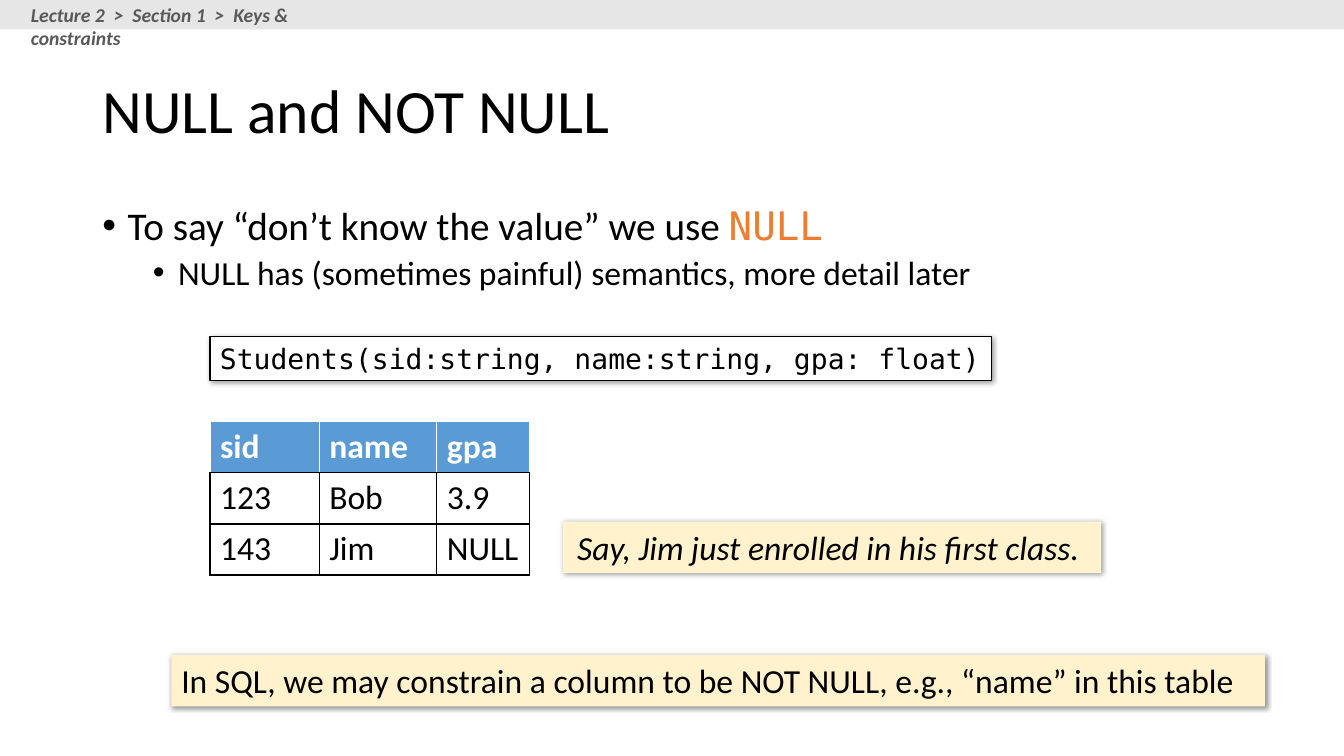
from lxml import etree
from pptx import Presentation
from pptx.dml.color import RGBColor
from pptx.enum import shapes, text
from pptx.oxml import parse_xml
from pptx.oxml.ns import nsdecls, qn
from pptx.util import Inches, Pt

# Grid of 160 columns by 90 rows, twelve to the inch
UNITS_PER_INCH = 12
BLACK, WHITE, ORANGE = "000000", "FFFFFF", "ED7D31"
CREAM, BLUE, BAND_GREY, PATH_GREY = "FFF2CC", "5B9BD5", "E7E6E6", "595959"
BODY_FONT, CODE_FONT = "Calibri", "DejaVu Sans Mono"


def grid(*units):
    return [Inches(unit / UNITS_PER_INCH) for unit in units]


def color(value):
    return RGBColor.from_string(value)


def place(item, left, top, width, height):
    item.left, item.top, item.width, item.height = grid(left, top, width, height)


def add_run(paragraph, words, size, fill=BLACK, face=BODY_FONT, bold=False, italic=False):
    run = paragraph.add_run()
    run.text = words
    font = run.font
    font.name, font.size, font.bold, font.italic = face, Pt(size), bold, italic
    font.color.rgb = color(fill)


def set_bullet(paragraph, indent):
    props = paragraph._p.get_or_add_pPr()
    props.set("marL", str(Inches(indent)))
    props.set("indent", str(Inches(-0.25)))
    etree.SubElement(props, qn("a:buFont")).set("typeface", "Arial")
    etree.SubElement(props, qn("a:buChar")).set("char", "•")


def add_bullet(paragraph, level, space_before, *runs):
    paragraph.level = level
    paragraph.line_spacing = 0.9
    paragraph.space_before = Pt(space_before)
    set_bullet(paragraph, 0.25 + 0.5 * level)
    for words, size, fill, face in runs:
        add_run(paragraph, words, size, fill, face)


def add_shadow(box):
    box._element.spPr.append(parse_xml(
        f'<a:effectLst {nsdecls("a")}><a:outerShdw blurRad="{Pt(4)}" dist="{Pt(1)}" '
        'dir="2700000" algn="tl" rotWithShape="0"><a:srgbClr val="000000">'
        '<a:alpha val="40000"/></a:srgbClr></a:outerShdw></a:effectLst>'))


def add_box(slide, area, fill, line=None):
    box = slide.shapes.add_shape(shapes.MSO_SHAPE.RECTANGLE, *grid(*area))
    box.fill.solid()
    box.fill.fore_color.rgb = color(fill)
    if line:
        box.line.color.rgb = color(line)
        box.line.width = Pt(0.75)
    else:
        box.line.fill.background()
    box.shadow.inherit = False
    return box


def add_callout(slide, area, words, size=24, fill=CREAM, line=None,
                align=text.PP_ALIGN.LEFT, **style):
    box = add_box(slide, area, fill, line)
    box._element.spPr.remove(box._element.spPr.find(qn("a:effectLst")))
    add_shadow(box)
    frame = box.text_frame
    frame.word_wrap = True
    frame.vertical_anchor = text.MSO_ANCHOR.TOP
    frame.paragraphs[0].alignment = align
    add_run(frame.paragraphs[0], words, size, **style)


def set_borders(cell, side_color, bottom_color):
    props = cell._tc.get_or_add_tcPr()
    sides = {"lnL": side_color, "lnR": side_color, "lnT": side_color, "lnB": bottom_color}
    for position, (side, value) in enumerate(sides.items()):
        props.insert(position, parse_xml(
            f'<a:{side} {nsdecls("a")} w="{Pt(1)}"><a:solidFill>'
            f'<a:srgbClr val="{value}"/></a:solidFill></a:{side}>'))


def add_students(slide, left, top, columns, row_height, rows):
    frame = slide.shapes.add_table(
        len(rows), len(columns), *grid(left, top, sum(columns), row_height * len(rows)))
    students = frame.table
    for column, width in zip(students.columns, grid(*columns)):
        column.width = width
    for r, row in enumerate(rows):
        header = r == 0
        for c, value in enumerate(row):
            cell = students.cell(r, c)
            cell.fill.solid()
            cell.fill.fore_color.rgb = color(BLUE if header else WHITE)
            set_borders(cell, WHITE if header else BLACK, BLACK)
            add_run(cell.text_frame.paragraphs[0], value, 24,
                    WHITE if header else BLACK, bold=header)


def add_breadcrumb(slide):
    add_box(slide, (0, 0, 160, 3.5), BAND_GREY)
    trail = slide.shapes.add_textbox(*grid(2.5, -0.25, 43.5, 4)).text_frame
    trail.word_wrap = True
    add_run(trail.paragraphs[0], "Lecture 2  >  Section 1  >  Keys & constraints",
            14, PATH_GREY, bold=True, italic=True)


def fill_placeholders(slide):
    title, body = slide.placeholders
    place(title, 11, 4.8, 138, 17.4)
    title.text_frame.vertical_anchor = text.MSO_ANCHOR.MIDDLE
    heading = title.text_frame.paragraphs[0]
    heading.alignment = text.PP_ALIGN.LEFT
    heading.line_spacing = 0.9
    add_run(heading, "NULL and NOT NULL", 44)

    place(body, 11, 24, 138, 57)
    points = body.text_frame
    points.auto_size = text.MSO_AUTO_SIZE.NONE
    add_bullet(points.paragraphs[0], 0, 10,
               ("To say “don’t know the value” we use ", 28, BLACK, BODY_FONT),
               ("NULL", 28, ORANGE, CODE_FONT))
    add_bullet(points.add_paragraph(), 1, 5,
               ("NULL has (sometimes painful) semantics, more detail later",
                24, BLACK, BODY_FONT))


def main():
    deck = Presentation()
    deck.slide_width, deck.slide_height = grid(160, 90)
    slide = deck.slides.add_slide(deck.slide_layouts[1])
    fill_placeholders(slide)

    # Example relation and its remarks
    add_students(slide, 25, 50.2, (13, 14, 11), 6.05,
                 (("sid", "name", "gpa"), ("123", "Bob", "3.9"), ("143", "Jim", "NULL")))
    add_callout(slide, (67, 62.1, 64.1, 6.1), "Say, Jim just enrolled in his first class. ",
                align=text.PP_ALIGN.CENTER, italic=True)
    add_callout(slide, (20.4, 78, 130.2, 6.1),
                "In SQL, we may constrain a column to be NOT NULL, e.g., “name” in this table")
    add_callout(slide, (25, 40.1, 93, 5.25), "Students(sid:string, name:string, gpa: float)",
                20, WHITE, BLACK, face=CODE_FONT)

    # Lecture path across the top
    add_breadcrumb(slide)
    deck.save("out.pptx")


main()
